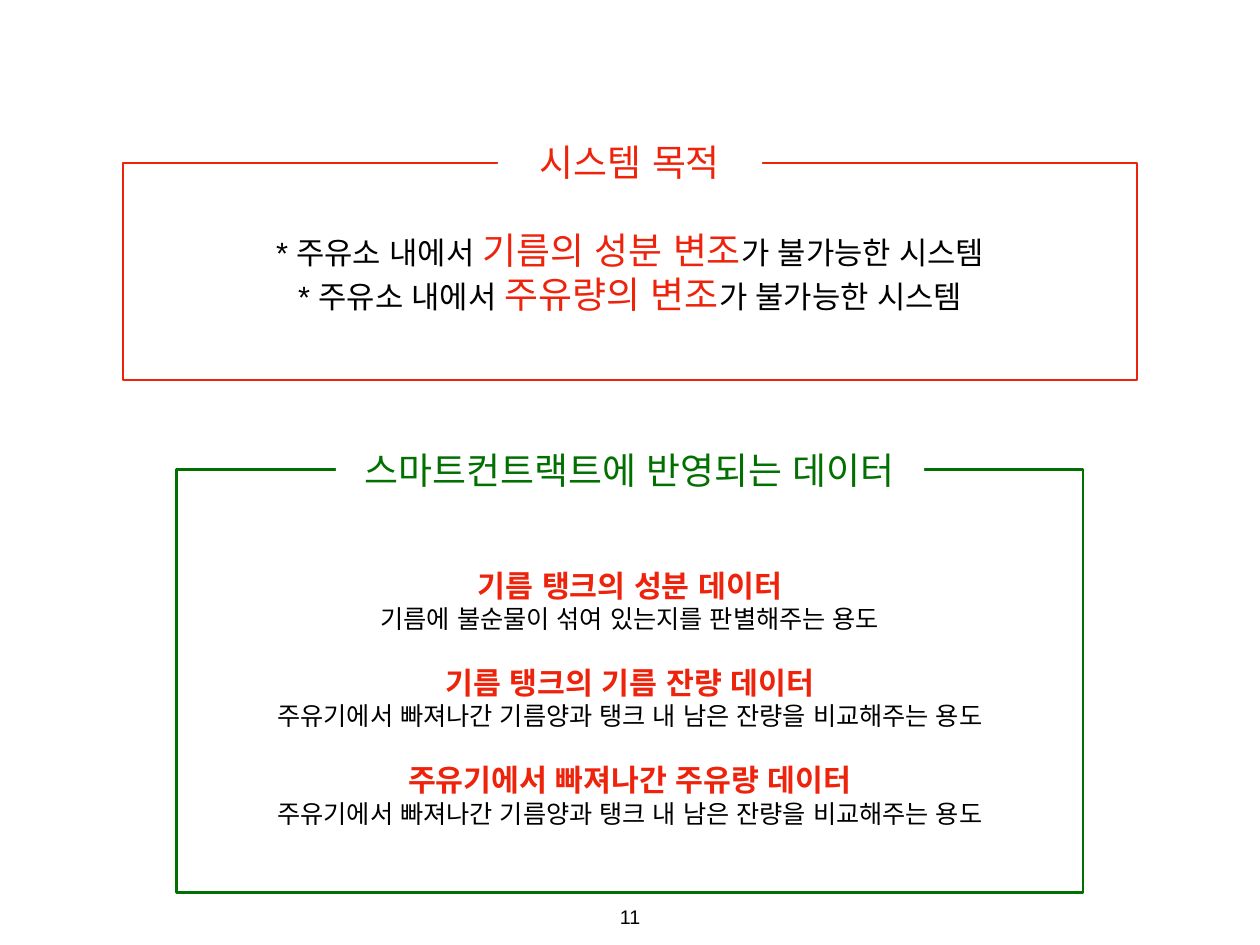
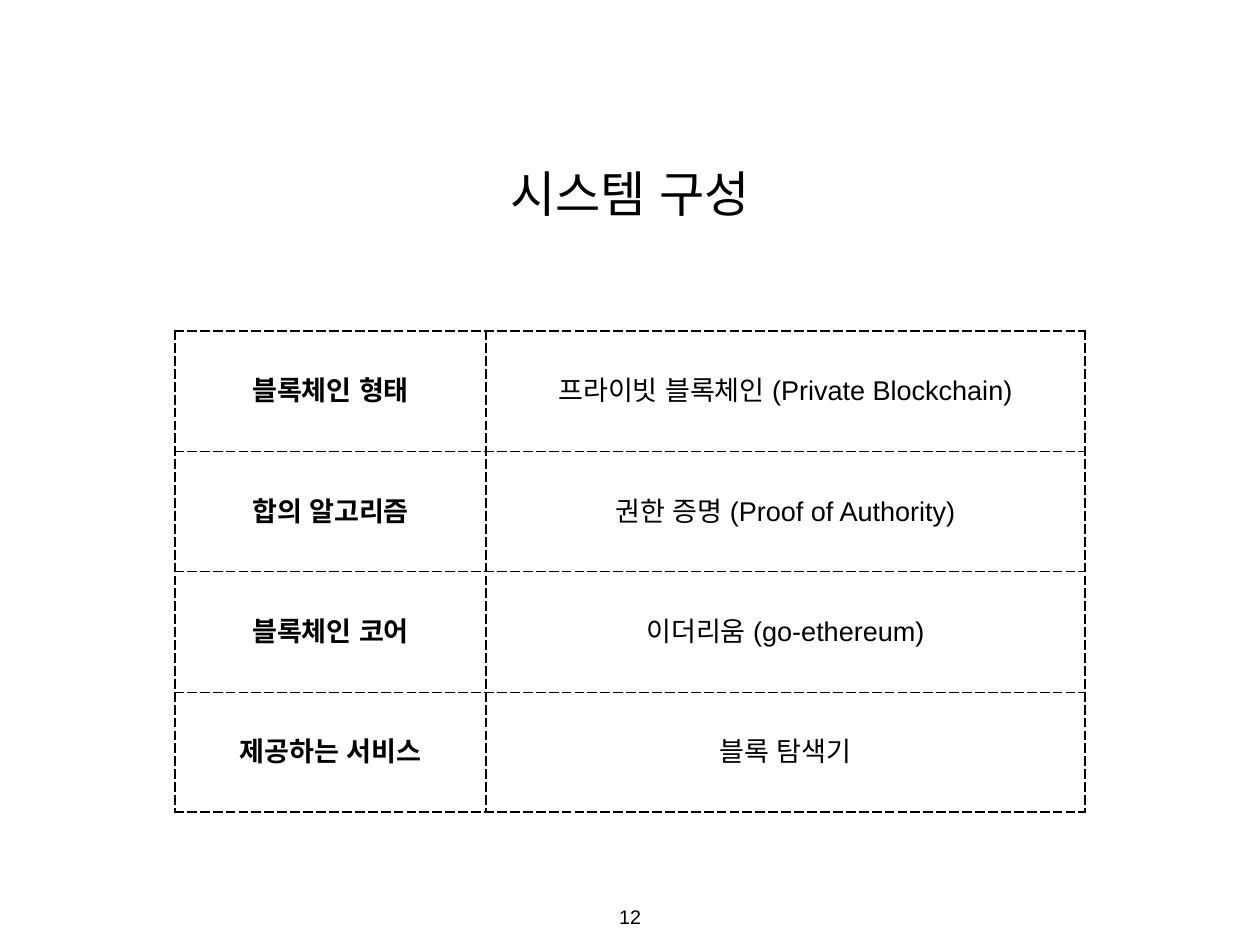
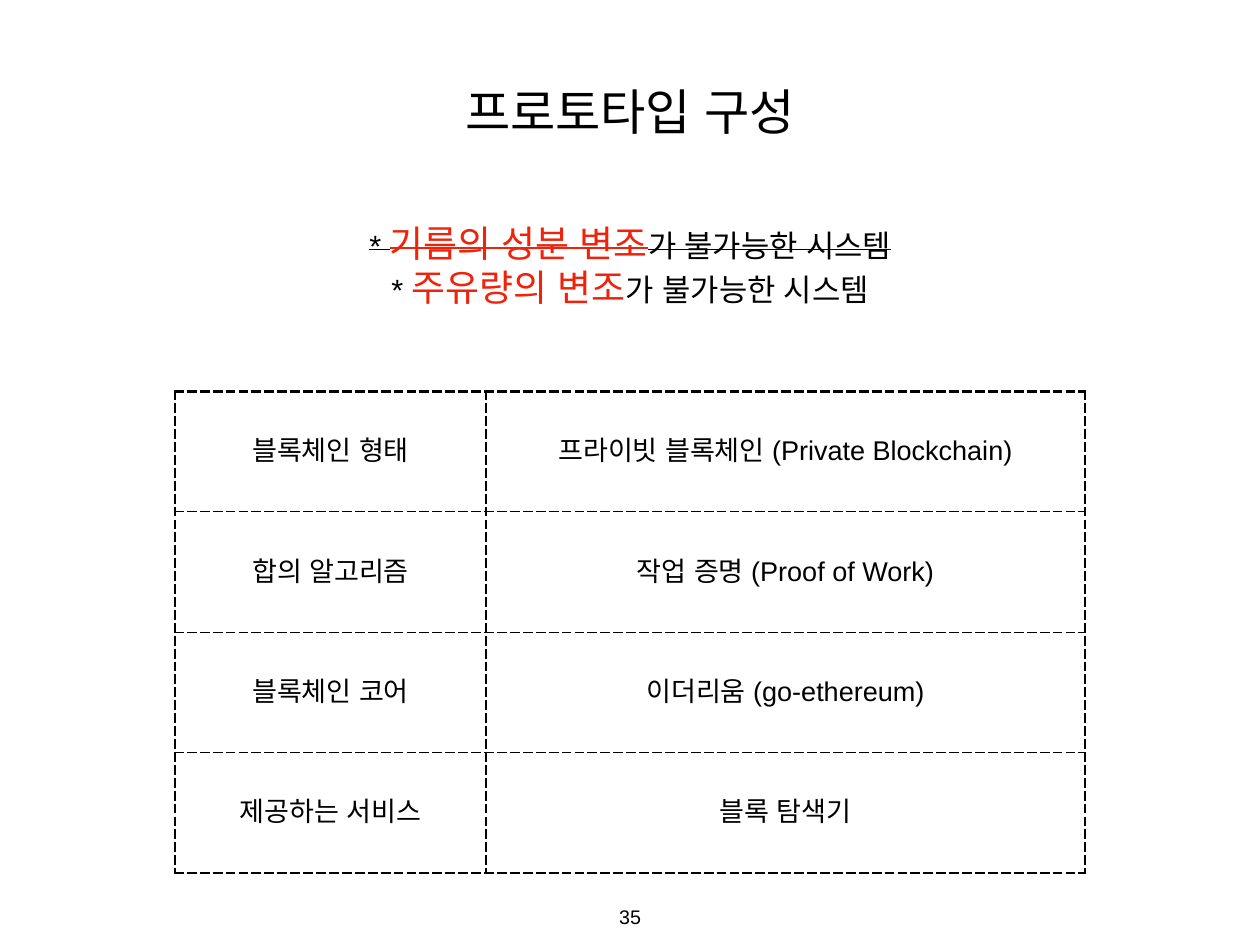
"""Build three slides on a fuel station blockchain: goal, system and prototype."""
from lxml.etree import SubElement
from pptx import Presentation
from pptx.dml.color import RGBColor
from pptx.enum.shapes import MSO_SHAPE as Shape
from pptx.enum.text import MSO_ANCHOR as Anchor, PP_ALIGN as Align
from pptx.oxml.ns import qn
from pptx.util import Inches, Pt

RED = RGBColor(0xEE, 0x23, 0x0C)
GREEN = RGBColor(0x02, 0x70, 0x01)
BLACK = RGBColor(0x00, 0x00, 0x00)
WHITE = RGBColor(0xFF, 0xFF, 0xFF)
FACE = "Arial"
PAD = Inches(0.06)
PADS = {f"margin_{side}": PAD for side in ("left", "right", "top", "bottom")}

deck = Presentation()
deck.slide_width, deck.slide_height = Inches(14.22), Inches(10.67)
COL, ROW = deck.slide_width / 100, deck.slide_height / 100

TITLE = {"size": Pt(40)}
BODY = {"size": Pt(25)}
KEY = {"size": Pt(30), "color": RED}
GONE = {"strike": True}
HEAD = {"size": Pt(24.6), "color": RED, "bold": True}
NOTE = {"size": Pt(20.5)}
CELL = {"size": Pt(22)}
PAGE = {"size": Pt(16)}
WIDE = 80.45


def write(frame, paras, gap=0, every=1):
    """Fill a frame with centred paragraphs of (text, style) runs."""
    for i, runs in enumerate(paras):
        para = frame.paragraphs[0] if i == 0 else frame.add_paragraph()
        para.alignment = Align.CENTER
        if gap and i and i % every == 0:
            para.space_before = Pt(gap)
        for text, style in runs:
            run = para.add_run()
            run.text = text
            look = {"name": FACE, "bold": False, **style}
            run.font.color.rgb = look.pop("color", BLACK)
            strike = look.pop("strike", False)
            for name, value in look.items():
                setattr(run.font, name, value)
            props = run._r.get_or_add_rPr()
            SubElement(props, qn("a:ea")).set("typeface", FACE)
            if strike:
                props.set("strike", "sngStrike")


def box(slide, wide, top, high, paras=(), fill=None, line=None, **flow):
    """Place a box centred across the slide, sized in grid columns and rows."""
    shape = slide.shapes.add_shape(
        Shape.RECTANGLE, int((100 - wide) / 2 * COL), int(top * ROW),
        int(wide * COL), int(high * ROW))
    shape.shadow.inherit = False
    for part, color in ((shape.fill, fill), (shape.line.fill, line)):
        if color is None:
            part.background()
        else:
            part.solid()
            part.fore_color.rgb = color
    if line is not None:
        shape.line.width = Pt(2)
    frame = shape.text_frame
    for name, value in {**PADS, "word_wrap": True, "vertical_anchor": Anchor.MIDDLE}.items():
        setattr(frame, name, value)
    write(frame, paras, **flow)
    return frame


goal, system, proto = slides = [deck.slides.add_slide(deck.slide_layouts[6]) for _ in range(3)]
for slide, page in zip(slides, ("11", "12", "35")):
    frame = box(slide, 2.6, 95.31, 3.28, [[(page, PAGE)]])
    frame.word_wrap = False

TAIL = "가 불가능한 시스템"
OIL, FLOW = "기름의 성분 변조", "주유량의 변조"
LEAD = "* 주유소 내에서 "
box(goal, 71.94, 49.67, 44.8, line=GREEN)
box(goal, WIDE, 17.24, 22.96,
    [[(LEAD, BODY), (key, KEY), (TAIL, BODY)] for key in (OIL, FLOW)], line=RED)
CHECK = "주유기에서 빠져나간 기름양과 탱크 내 남은 잔량을 비교해주는 용도"
FACTS = [
    ("기름 탱크의 성분 데이터", "기름에 불순물이 섞여 있는지를 판별해주는 용도"),
    ("기름 탱크의 기름 잔량 데이터", CHECK),
    ("주유기에서 빠져나간 주유량 데이터", CHECK),
]
box(goal, WIDE, 58.39, 30.83,
    [[run] for head, note in FACTS for run in ((head, HEAD), (note, NOTE))], gap=25, every=2)
for text, color, wide, top in (
        ("스마트컨트랙트에 반영되는 데이터", GREEN, 46.69, 42.64),
        ("시스템 목적", RED, 20.96, 10.12)):
    box(goal, wide, top, 14.06, [[(text, {**KEY, "color": color})]], fill=WHITE)

box(proto, WIDE, 17.53, 20.99,
    [[(text, {**style, **mark}) for text, style in (("* ", BODY), (key, KEY), (TAIL, BODY))]
     for key, mark in ((OIL, GONE), (FLOW, {}))])

LABELS = ("블록체인 형태", "합의 알고리즘", "블록체인 코어", "제공하는 서비스")
WIDTHS = (24.68, 47.54)
HIGH = 12.73
for slide, title, rise, top, proof, bold in (
        (system, "시스템 구성", 15.09, 35.05, "권한 증명 (Proof of Authority)", True),
        (proto, "프로토타입 구성", 6.37, 41.42, "작업 증명 (Proof of Work)", False)):
    box(slide, WIDE, rise, 10.68, [[(title, TITLE)]])
    values = ("프라이빗 블록체인 (Private Blockchain)", proof, "이더리움 (go-ethereum)", "블록 탐색기")
    last = len(LABELS) - 1
    wide = sum(WIDTHS)
    table = slide.shapes.add_table(
        len(LABELS), 2, int((100 - wide) / 2 * COL), int(top * ROW),
        int(wide * COL), int(HIGH * len(LABELS) * ROW)).table
    table.first_row = table.horz_banding = False
    for column, share in zip(table.columns, WIDTHS):
        column.width = int(share * COL)
    for r, pair in enumerate(zip(LABELS, values)):
        table.rows[r].height = int(HIGH * ROW)
        for c, text in enumerate(pair):
            cell = table.cell(r, c)
            for name, value in {**PADS, "vertical_anchor": Anchor.MIDDLE}.items():
                setattr(cell, name, value)
            write(cell.text_frame, [[(text, {**CELL, "bold": bold and c == 0})]])
            props = cell._tc.get_or_add_tcPr()
            for tag, outer in (("lnL", c == 0), ("lnR", c == 1), ("lnT", r == 0), ("lnB", r == last)):
                edge = SubElement(props, qn(f"a:{tag}"), w=str(Pt(2 if outer else 1)))
                ink = SubElement(edge, qn("a:solidFill"))
                SubElement(ink, qn("a:srgbClr"), val=str(BLACK))
                SubElement(edge, qn("a:prstDash"), val="dash")
            cell.fill.background()

deck.save("out.pptx")
